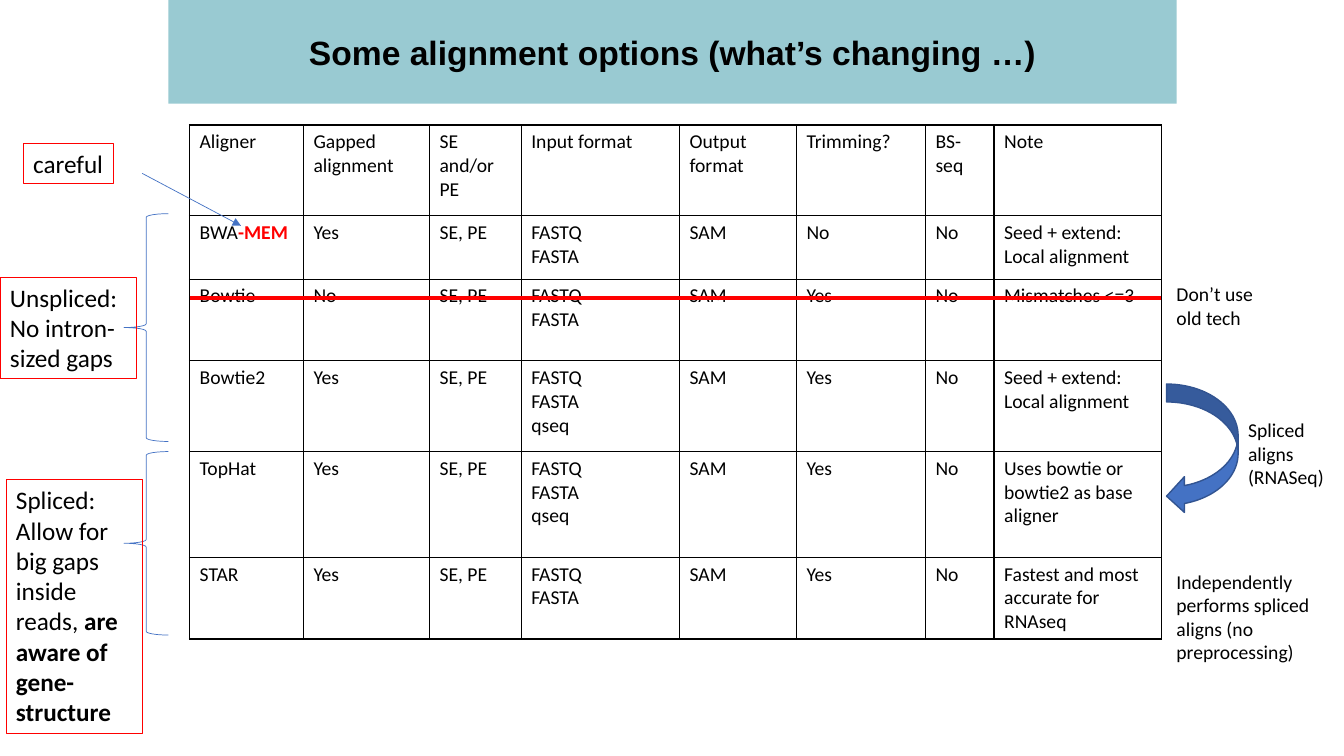
import pptx
import pptx.dml.color
import pptx.enum.shapes
import pptx.enum.text
import pptx.oxml
import pptx.oxml.ns
import pptx.util

RGB = pptx.dml.color.RGBColor
BLACK = RGB(0x00, 0x00, 0x00)
RED = RGB(0xFF, 0x00, 0x00)
BLUE = RGB(0x44, 0x72, 0xC4)
NAVY = RGB(0x32, 0x54, 0x91)
TEAL = RGB(0x99, 0xCA, 0xD2)
KIND = pptx.enum.shapes.MSO_SHAPE
FIT = pptx.enum.text.MSO_AUTO_SIZE.SHAPE_TO_FIT_TEXT
PX = 9144  # 100 px to the inch

COLS = [113, 125, 91, 157, 116, 128, 68, 166]
ROWS = [90, 63, 81, 90, 105, 80]
CELLS = [
    ["Aligner", "Gapped alignment", "SE and/or PE", "Input format",
     "Output format", "Trimming?", "BS-seq", "Note"],
    ["BWA", "Yes", "SE, PE", "FASTQ\nFASTA", "SAM", "No", "No",
     "Seed + extend:\nLocal alignment"],
    ["Bowtie", "No", "SE, PE", "FASTQ\nFASTA", "SAM", "Yes", "No",
     "Mismatches <=3"],
    ["Bowtie2", "Yes", "SE, PE", "FASTQ\nFASTA\nqseq", "SAM", "Yes", "No",
     "Seed + extend:\nLocal alignment"],
    ["TopHat", "Yes", "SE, PE", "FASTQ\nFASTA\nqseq", "SAM", "Yes", "No",
     "Uses bowtie or bowtie2 as base aligner"],
    ["STAR", "Yes", "SE, PE", "FASTQ\nFASTA", "SAM", "Yes", "No",
     "Fastest and most accurate for RNAseq"],
]


def emu(*sizes):
    return [pptx.util.Emu(size * PX) for size in sizes]


def style(frame, size, face="Calibri", bold=False):
    for para in frame.paragraphs:
        for run in para.runs:
            run.font.size = pptx.util.Pt(size)
            run.font.name = face
            run.font.bold = bold
            run.font.color.rgb = BLACK


def add_bold(frame, text):
    """Append a bold run in the style of the last one."""
    para = frame.paragraphs[-1]
    font = para.runs[-1].font
    run = para.add_run()
    run.text = text
    run.font.size, run.font.name = font.size, font.name
    run.font.color.rgb = font.color.rgb
    run.font.bold = True
    return run


def add_form(slide, kind, box, fill=None, line=None, width=0.5):
    form = slide.shapes.add_shape(kind, *emu(*box))
    form.shadow.inherit = False
    if fill is None:
        form.fill.background()
    else:
        form.fill.solid()
        form.fill.fore_color.rgb = fill
    if line is None:
        form.line.fill.background()
    else:
        form.line.color.rgb = line
        form.line.width = pptx.util.Pt(width)
    return form


def add_line(slide, ends, color, width):
    line = slide.shapes.add_connector(
        pptx.enum.shapes.MSO_CONNECTOR.STRAIGHT, *emu(*ends))
    line.line.color.rgb = color
    line.line.width = pptx.util.Pt(width)
    props = line._element.spPr
    props.append(pptx.oxml.parse_xml(
        f'<a:effectLst {pptx.oxml.ns.nsdecls("a")}/>'))
    return line


def add_frame(slide, box, text, wrap=True):
    """Red outlined label."""
    form = add_form(slide, KIND.RECTANGLE, box, line=RED, width=0.75)
    frame = form.text_frame
    frame.text = text
    frame.word_wrap = wrap
    frame.auto_size = FIT
    frame.vertical_anchor = pptx.enum.text.MSO_ANCHOR.TOP
    for para in frame.paragraphs:
        para.alignment = pptx.enum.text.PP_ALIGN.LEFT
    style(frame, 18)
    return frame


def add_note(slide, box, text):
    """Plain remark."""
    frame = slide.shapes.add_textbox(*emu(*box)).text_frame
    frame.text = text
    frame.word_wrap = True
    frame.auto_size = FIT
    style(frame, 14)


def edge_cell(cell):
    """Black border on all four sides."""
    props = cell._tc.get_or_add_tcPr()
    for spot, side in enumerate(("lnL", "lnR", "lnT", "lnB")):
        props.insert(spot, pptx.oxml.parse_xml(
            f'<a:{side} {pptx.oxml.ns.nsdecls("a")} w="12700"><a:solidFill>'
            f'<a:srgbClr val="{BLACK}"/></a:solidFill></a:{side}>'))


def draw_banner(slide, box):
    form = add_form(slide, KIND.RECTANGLE, box, fill=TEAL)
    frame = form.text_frame
    frame.text = "Some alignment options (what’s changing …)"
    frame.word_wrap = True
    frame.vertical_anchor = pptx.enum.text.MSO_ANCHOR.MIDDLE
    frame.paragraphs[0].alignment = pptx.enum.text.PP_ALIGN.CENTER
    style(frame, 24, "Arial", True)


def draw_grid(slide, box):
    grid = slide.shapes.add_table(len(ROWS), len(COLS), *emu(*box)).table
    grid.first_row = grid.horz_banding = False
    for col, width in zip(grid.columns, emu(*COLS)):
        col.width = width
    for row, height, texts in zip(grid.rows, emu(*ROWS), CELLS):
        row.height = height
        for cell, text in zip(row.cells, texts):
            cell.text = text
            cell.fill.background()
            edge_cell(cell)
            style(cell.text_frame, 14)
    add_bold(grid.cell(1, 0).text_frame, "-MEM").font.color.rgb = RED
    # Strike out the old aligner
    left, top, width, _ = box
    mid = top + sum(ROWS[:2]) + 19
    add_line(slide, (left, mid, left + width, mid), RED, 3)


def draw_notes(slide, box):
    left, top, width, _ = box
    add_form(slide, KIND.CURVED_LEFT_ARROW, (left, top + 106, 71, 129),
             BLUE, NAVY, 1)
    add_note(slide, (left + 71, top + 135, width - 71, 81),
             "Spliced aligns\n(RNASeq)")
    add_note(slide, (left, top + 285, width, 104),
             "Independently performs spliced aligns (no preprocessing)")
    add_note(slide, (left, top, 105, 57), "Don’t use old tech")


def draw_groups(slide, box):
    left, top, width, _ = box
    # Braces over the table rows
    for drop, height in ((70, 226), (306, 182)):
        add_form(slide, KIND.LEFT_BRACE,
                 (left + width - 44, top + drop, 44, height), line=BLUE)
    add_frame(slide, (left, top + 133, 135, 101),
              "Unspliced:\nNo intron-sized gaps")
    frame = add_frame(slide, (left + 6, top + 334, 135, 252),
                      "Spliced:\nAllow for big gaps inside reads, ")
    add_bold(frame, "are aware of gene-structure")
    # Warning with its arrow
    arrow = add_line(slide, (left + 141, top + 30, left + 239, top + 82),
                     BLUE, 0.5)
    arrow.line._get_or_add_ln().append(pptx.oxml.parse_xml(
        f'<a:tailEnd {pptx.oxml.ns.nsdecls("a")} type="triangle"/>'))
    add_frame(slide, (left + 23, top, 90, 40), "careful", wrap=False)


def main():
    deck = pptx.Presentation()
    deck.slide_width, deck.slide_height = emu(1333, 750)
    slide = deck.slides.add_slide(deck.slide_layouts[6])
    draw_grid(slide, (188, 124, sum(COLS), sum(ROWS)))
    draw_banner(slide, (167, 0, 1000, 103))
    draw_notes(slide, (1157, 275, 176, 389))
    draw_groups(slide, (0, 142, 167, 586))
    deck.save("out.pptx")


if __name__ == "__main__":
    main()
